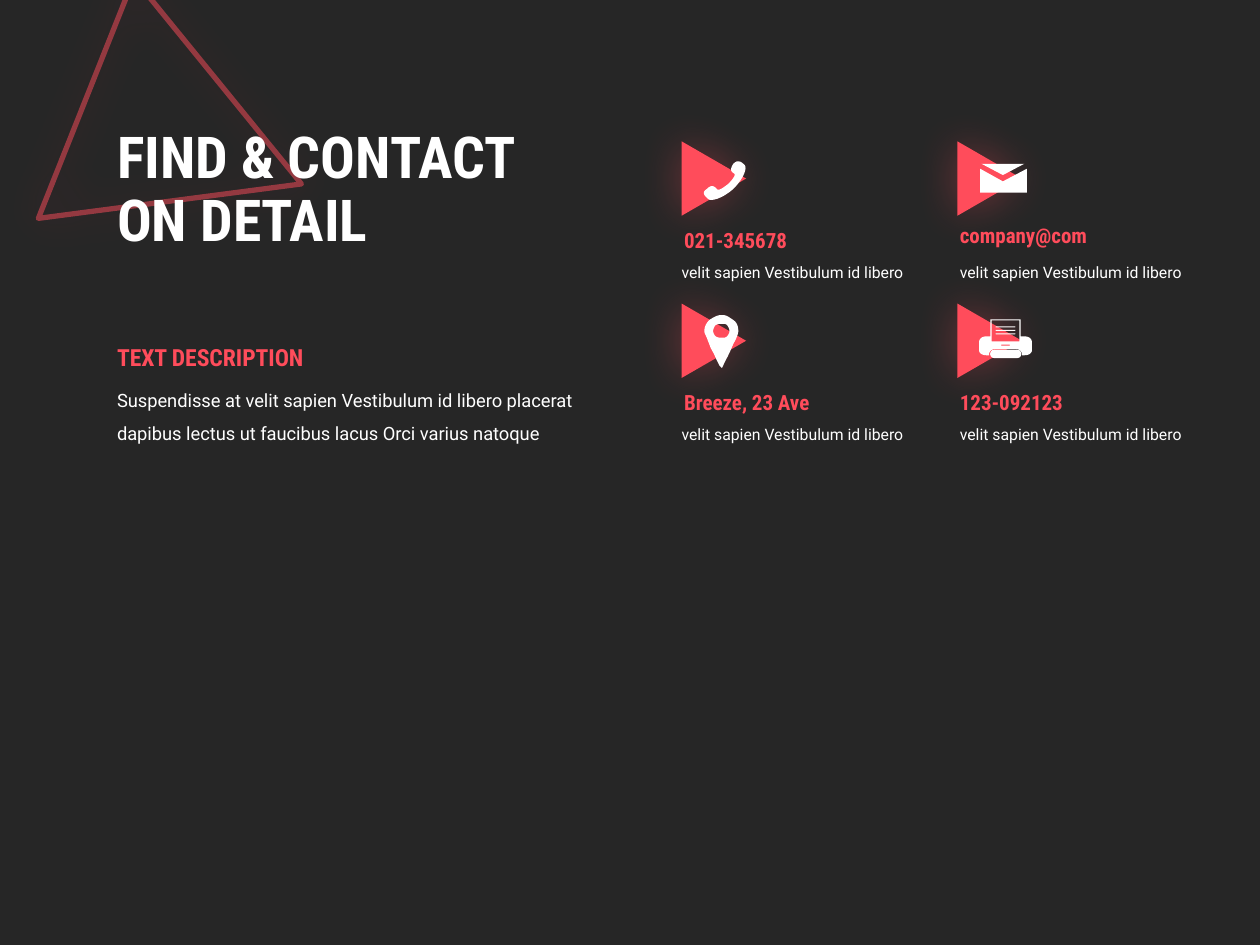
from lxml.etree import SubElement as Sub
from pptx import Presentation
from pptx.dml.color import RGBColor
from pptx.enum.shapes import MSO_SHAPE as Kind
from pptx.enum.text import MSO_ANCHOR as Anchor, MSO_AUTO_SIZE as Auto
from pptx.oxml.ns import qn
from pptx.util import Cm, Pt

RED, WHITE, DARK = "FF4C5B", "FFFFFF", "262626"
HEAD, BODY = "Roboto Condensed", "Roboto"
STEPS = 8
UNIT = 0.0254
LABEL = dict(name=HEAD, size=Pt(12), bold=True)
NOTE = dict(name=BODY, size=Pt(9))

PHONE = [[
    (583, 138), (580, 136, 579, 135, 582, 130), (586, 126, 589, 129, 591, 131),
    (593, 133, 591, 141, 582, 150), (573, 158, 564, 160, 562, 158),
    (560, 156, 556, 153, 561, 150), (565, 146, 567, 148, 569, 150),
    (570, 152, 574, 149, 578, 146), (581, 143, 584, 139, 583, 138)]]
MAIL = [
    [(796, 144), (815, 134), (815, 153), (778, 153), (778, 134)],
    [(813, 130), (796, 139), (779, 130)]]
PIN = [
    [(563, 254), (566, 252, 569, 250, 573, 250), (577, 250, 579, 252, 582, 254),
     (585, 256, 586, 259, 586, 263), (586, 264, 585, 268, 582, 273),
     (580, 278, 578, 282, 576, 286), (573, 292), (571, 290), (568, 284),
     (567, 281, 565, 278, 564, 276), (563, 273, 562, 271, 561, 268),
     (560, 266, 559, 264, 559, 263), (559, 259, 561, 256, 563, 254)],
    [(568, 267), (570, 268, 571, 268, 573, 268), (575, 268, 576, 268, 577, 267),
     (578, 266, 579, 264, 579, 263), (579, 261, 578, 259, 577, 258),
     (576, 257, 575, 257, 573, 257), (571, 257, 570, 257, 568, 258),
     (567, 259, 566, 261, 566, 263), (566, 264, 567, 266, 568, 267)]]
CASE = [
    [(813, 267), (810, 267), (810, 253.5), (786, 253.5), (786, 267), (783, 267),
     (779, 267, 777, 269, 777, 272), (777, 278),
     (777, 280, 779, 282, 783, 282), (785, 282), (785, 281),
     (785, 279, 787, 277, 790, 277), (806, 277),
     (809, 277, 811, 279, 811, 281), (811, 282), (813, 282),
     (817, 282, 819, 280, 819, 278), (819, 272),
     (819, 269, 817, 267, 813, 267)],
    [(787, 254.3), (809, 254.3), (809, 271), (787, 271)],
    [(794.5, 273.5), (801.5, 273.5), (801.5, 274.3), (794.5, 274.3)]]


def rgb(code):
    return RGBColor.from_string(code)


def paint(shape, code):
    shape.shadow.inherit = False
    shape.fill.solid()
    shape.fill.fore_color.rgb = rgb(code)
    shape.line.fill.background()


def fade(color, share):
    Sub(color, qn("a:alpha"), val=str(share * 1000))


def glow(shape):
    shape.shadow.inherit = False
    effects = shape._element.spPr.find(qn("a:effectLst"))
    outer = Sub(effects, qn("a:outerShdw"), blurRad=str(Pt(25)), dist="0",
                dir="0", algn="ctr", rotWithShape="0")
    fade(Sub(outer, qn("a:srgbClr"), val=RED), 35)


def preset(shapes, kind, *box):
    return shapes.add_shape(kind, *map(Cm, box))


def marker(shapes, x, y):
    shape = preset(shapes, Kind.ISOSCELES_TRIANGLE, x, y, 1.5, 1.3)
    shape.rotation = 90
    paint(shape, RED)
    glow(shape)


def frame(shapes):
    shape = preset(shapes, Kind.ISOSCELES_TRIANGLE, 1.3, 0.51, 5.21, 4.67)
    shape.rotation = 111.7
    shape.fill.background()
    shape.line.color.rgb = rgb(RED)
    shape.line.width = Pt(3)
    fade(shape.line._ln.find(".//" + qn("a:srgbClr")), 50)
    glow(shape)


def write(shapes, box, text, color, font, gap=1.0, anchor=Anchor.TOP, grow=True):
    shape = shapes.add_textbox(*map(Cm, box))
    frame = shape.text_frame
    form = dict(word_wrap=True, vertical_anchor=anchor,
                auto_size=Auto.SHAPE_TO_FIT_TEXT if grow else Auto.NONE)
    for key, value in form.items():
        setattr(frame, key, value)
    para = frame.paragraphs[0]
    para.text = text
    para.line_spacing = gap
    for run in para.runs:
        for key, value in font.items():
            setattr(run.font, key, value)
        run.font.color.rgb = rgb(color)


def trace(loop):
    spots = [loop[0]]
    for part in loop[1:]:
        if len(part) == 2:
            spots.append(part)
            continue
        knots = [spots[-1], part[:2], part[2:4], part[4:]]
        for step in range(1, STEPS + 1):
            t = step / STEPS
            rates = (1 - t) ** 3, 3 * t * (1 - t) ** 2, 3 * t * t * (1 - t), t ** 3
            spots.append(tuple(sum(r * k[axis] for r, k in zip(rates, knots))
                               for axis in (0, 1)))
    return [(Cm(x * UNIT), Cm(y * UNIT)) for x, y in spots]


def icon(shapes, loops):
    lines = [trace(loop) for loop in loops]
    pen = shapes.build_freeform(*lines[0][0])
    for index, line in enumerate(lines):
        if index:
            pen.move_to(*line[0])
        pen.add_line_segments(line[1:], close=True)
    paint(pen.convert_to_shape(), WHITE)


def printer(shapes):
    group = shapes.add_group_shape().shapes
    icon(group, CASE)
    bars = [(19.96, 7.05, 0.63, 0.17)]
    bars += [(20.07, 6.58 + 0.07 * row, 0.4, 0.02) for row in range(3)]
    for bar in bars:
        shape = preset(group, Kind.ROUNDED_RECTANGLE, *bar)
        shape.adjustments[0] = 0.5
        paint(shape, WHITE)


def main():
    deck = Presentation()
    deck.slide_width, deck.slide_height = Cm(25.4), Cm(19.05)
    slide = deck.slides.add_slide(deck.slide_layouts[6])
    slide.background.fill.solid()
    slide.background.fill.fore_color.rgb = rgb(DARK)
    shapes = slide.shapes

    frame(shapes)
    write(shapes, (2.11, 1.85, 10.72, 4.01), "FIND & CONTACT\vON DETAIL", WHITE,
          dict(name=HEAD, size=Pt(33), bold=True), 0.9, Anchor.MIDDLE, False)
    write(shapes, (2.11, 7.49, 9.78, 1.52),
          "Suspendisse at velit sapien Vestibulum id libero placerat "
          "dapibus lectus ut faucibus lacus Orci varius natoque",
          WHITE, dict(name=BODY, size=Pt(10.5)), 1.5)
    write(shapes, (2.11, 6.78, 4.67, 0.84), "TEXT DESCRIPTION", RED,
          dict(name=HEAD, size=Pt(13.5), bold=True))

    cards = [("021-345678", 1.52), ("company@com", 1.42),
             ("Breeze, 23 Ave", 1.5), ("123-092123", 1.5)]
    for index, (label, drop) in enumerate(cards):
        row, col = divmod(index, 2)
        x, y = 13.64 + 5.56 * col, 2.95 + 3.27 * row
        marker(shapes, x, y)
        write(shapes, (x - 0.1, y + drop, 3.68, 0.76), label, RED, LABEL)
        write(shapes, (x - 0.15 + 0.05 * col, y + 2.03, 5.05, 0.76),
              "velit sapien Vestibulum id libero", WHITE, NOTE, 1.5)
    for loops in (PHONE, MAIL, PIN):
        icon(shapes, loops)
    printer(shapes)
    deck.save("out.pptx")


if __name__ == "__main__":
    main()
